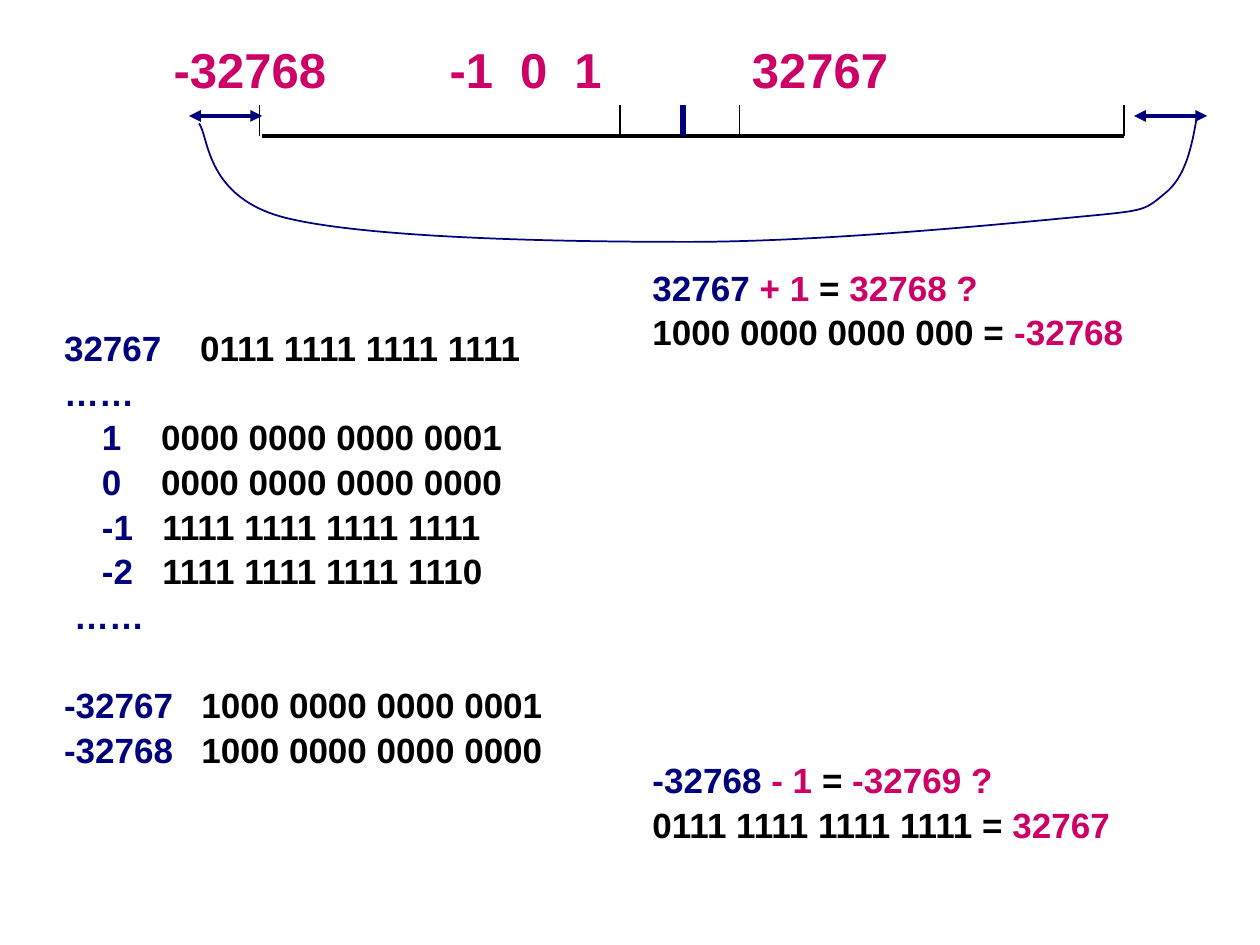
from typing import NamedTuple

from pptx import Presentation, util as u
from pptx.dml.color import RGBColor
from pptx.enum import shapes, text
from pptx.oxml import ns
from lxml import etree

PINK = RGBColor(0xCC, 0x00, 0x66)
NAVY = RGBColor(0x00, 0x00, 0x7D)
BLACK = RGBColor(0x00, 0x00, 0x00)
AXIS_TOP, AXIS_Y, ARROW_Y = 0.83, 1.08, 0.92
ROW_GAP, ROW_PITCH = 3.9, 25.6


class Run(NamedTuple):
    text: str
    color: RGBColor


class Row(NamedTuple):
    runs: list[Run]
    tabs: tuple[float, ...] = ()
    blank_rows: int = 0


class Line(NamedTuple):
    start: tuple[float, float]
    end: tuple[float, float]
    color: RGBColor = BLACK
    width: float = 1
    arrows: bool = False


def code_row(number: str, code: str, *tabs: float, blank_rows: int = 0) -> Row:
    return Row([Run(f"\t{number}\t", NAVY), Run(code, BLACK)], tabs, blank_rows)


def tick(x: float, color: RGBColor = BLACK, width: float = 1) -> Line:
    return Line((x, AXIS_TOP), (x, AXIS_Y), color, width)


def overflow_arrow(left: float) -> Line:
    return Line((left, ARROW_Y), (left + 0.58, ARROW_Y), NAVY, 2.25, True)


TITLE = [Row([Run("\t-32768\t-1\t0\t1\t32767", PINK)], (0.93, 3.12, 3.68, 4.11, 5.52))]
CODES = [
    code_row("32767", "0111 1111 1111 1111", 0.16, 1.24),
    Row([Run("\t……", NAVY)], (0.16,)),
    code_row("1", "0000 0000 0000 0001", 0.46, 0.93),
    code_row("0", "0000 0000 0000 0000", 0.46, 0.93),
    code_row("-1", "1111 1111 1111 1111", 0.46, 0.94),
    code_row("-2", "1111 1111 1111 1110", 0.46, 0.94),
    Row([Run("\t……", NAVY)], (0.24,)),
    code_row("-32767", "1000 0000 0000 0001", 0.16, 1.25, blank_rows=1),
    code_row("-32768", "1000 0000 0000 0000", 0.16, 1.25),
]
OVERFLOWS = [
    Row([Run("32767 ", NAVY), Run("+ 1 ", PINK), Run("=", BLACK), Run(" 32768 ?", PINK)]),
    Row([Run("1000 0000 0000 000 =", BLACK), Run(" -32768", PINK)]),
    Row([Run("-32768 ", NAVY), Run("- 1 ", PINK), Run("=", BLACK), Run(" -32769 ?", PINK)],
        blank_rows=9),
    Row([Run("0111 1111 1111 1111 =", BLACK), Run(" 32767", PINK)]),
]
NUMBER_LINE = [
    Line((2.08, AXIS_Y), (8.92, AXIS_Y), width=2.25),
    tick(2.06), tick(4.92), tick(5.42, NAVY, 3), tick(5.87), tick(8.92),
    overflow_arrow(9), overflow_arrow(1.5),
]
WRAP_CURVE = [
    (9.5, 0.92),
    (9.46, 1.16), (9.41, 1.41), (9.24, 1.54),
    (9.07, 1.68), (9.1, 1.67), (8.47, 1.73),
    (7.84, 1.79), (6.49, 1.92), (5.46, 1.92),
    (4.42, 1.92), (2.92, 1.89), (2.27, 1.73),
    (1.63, 1.57), (1.66, 1.09), (1.58, 0.98),
]


def add_text(slide, rows: list[Row], *, left: float, top: float, width: float, height: float,
             size: float = 20, spacing: float = 0.9, inset_top: float = 0.05) -> None:
    shape = slide.shapes.add_textbox(*map(u.Inches, (left, top, width, height)))
    frame = shape.text_frame
    frame.word_wrap = True
    frame.vertical_anchor = text.MSO_ANCHOR.TOP
    frame.margin_top = u.Inches(inset_top)
    for index, row in enumerate(rows):
        paragraph = frame.add_paragraph() if index else frame.paragraphs[0]
        paragraph.line_spacing = spacing
        if index:
            paragraph.space_before = u.Pt(ROW_GAP + row.blank_rows * ROW_PITCH)
        if row.tabs:
            properties = paragraph._p.get_or_add_pPr()
            tab_list = etree.SubElement(properties, ns.qn("a:tabLst"))
            for position in row.tabs:
                etree.SubElement(tab_list, ns.qn("a:tab"), pos=str(u.Inches(position)), algn="l")
        for part in row.runs:
            run = paragraph.add_run()
            run.text = part.text
            run.font.name = "Arial"
            run.font.size = u.Pt(size)
            run.font.bold = True
            run.font.color.rgb = part.color


def add_line(slide, line: Line) -> None:
    points = map(u.Inches, line.start + line.end)
    connector = slide.shapes.add_connector(shapes.MSO_CONNECTOR.STRAIGHT, *points)
    connector.line.color.rgb = line.color
    connector.line.width = u.Pt(line.width)
    if line.arrows:
        outline = connector.line._get_or_add_ln()
        for end in ("a:headEnd", "a:tailEnd"):
            etree.SubElement(outline, ns.qn(end), type="triangle")
    etree.SubElement(connector._element.spPr, ns.qn("a:effectLst"))


def add_curve(slide, points: list[tuple[float, float]], color: RGBColor) -> None:
    start, *controls = [(u.Inches(x), u.Inches(y)) for x, y in points]
    builder = slide.shapes.build_freeform(*start)
    builder.add_line_segments(controls, close=False)
    shape = builder.convert_to_shape()
    segments = list(shape._element.iter(ns.qn("a:lnTo")))
    outline = segments[0].getparent()
    for first in range(0, len(segments), 3):
        bezier = etree.SubElement(outline, ns.qn("a:cubicBezTo"))
        for segment in segments[first:first + 3]:
            bezier.append(segment[0])
            outline.remove(segment)
    shape.shadow.inherit = False
    shape.fill.background()
    shape.line.color.rgb = color
    shape.line.width = u.Pt(1)


def main() -> None:
    presentation = Presentation()
    presentation.slide_width = u.Inches(10)
    presentation.slide_height = u.Inches(7.5)
    slide = presentation.slides.add_slide(presentation.slide_layouts[6])
    add_text(slide, TITLE, left=0.35, top=0.25, width=9.53, height=0.58,
             size=28, spacing=1, inset_top=0.06)
    for line in NUMBER_LINE:
        add_line(slide, line)
    add_curve(slide, WRAP_CURVE, NAVY)
    add_text(slide, CODES, left=0.25, top=2.58, width=5.62, height=3.75)
    add_text(slide, OVERFLOWS, left=5.08, top=2.1, width=4.67, height=4.83)
    presentation.save("out.pptx")


if __name__ == "__main__":
    main()
